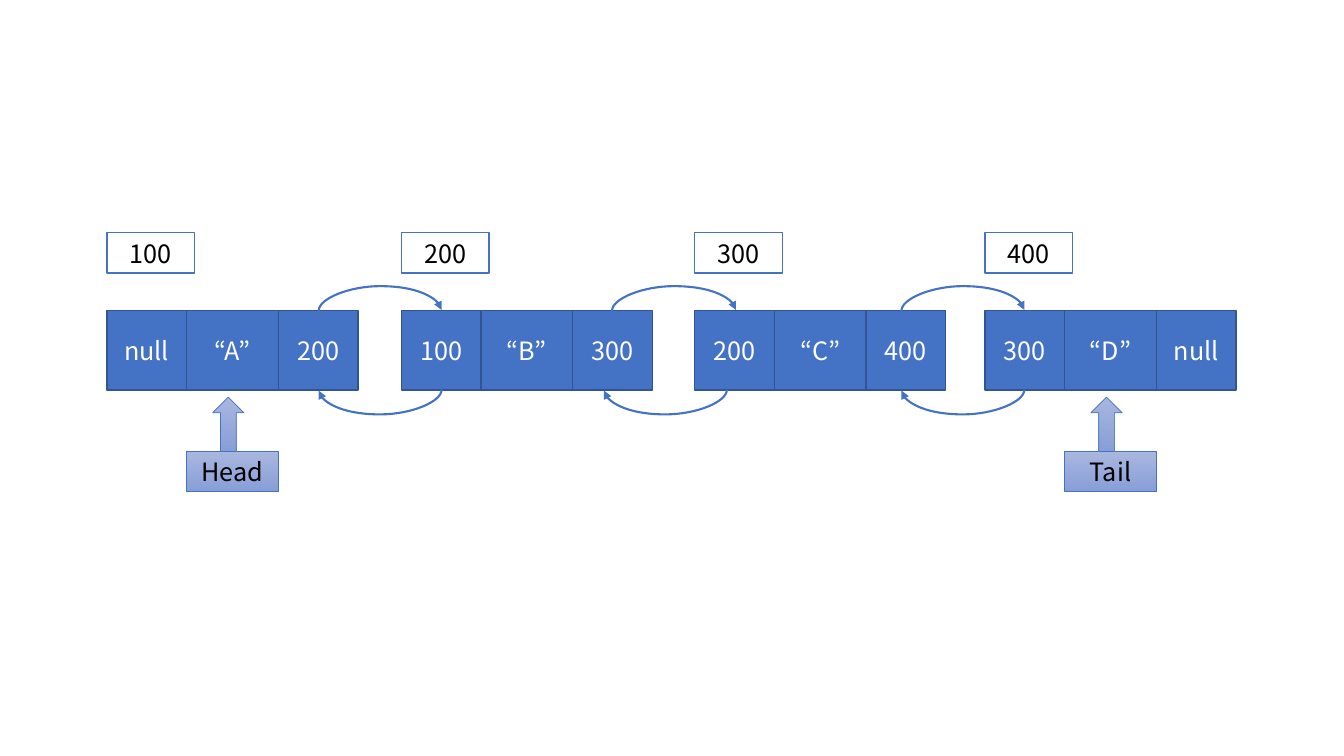
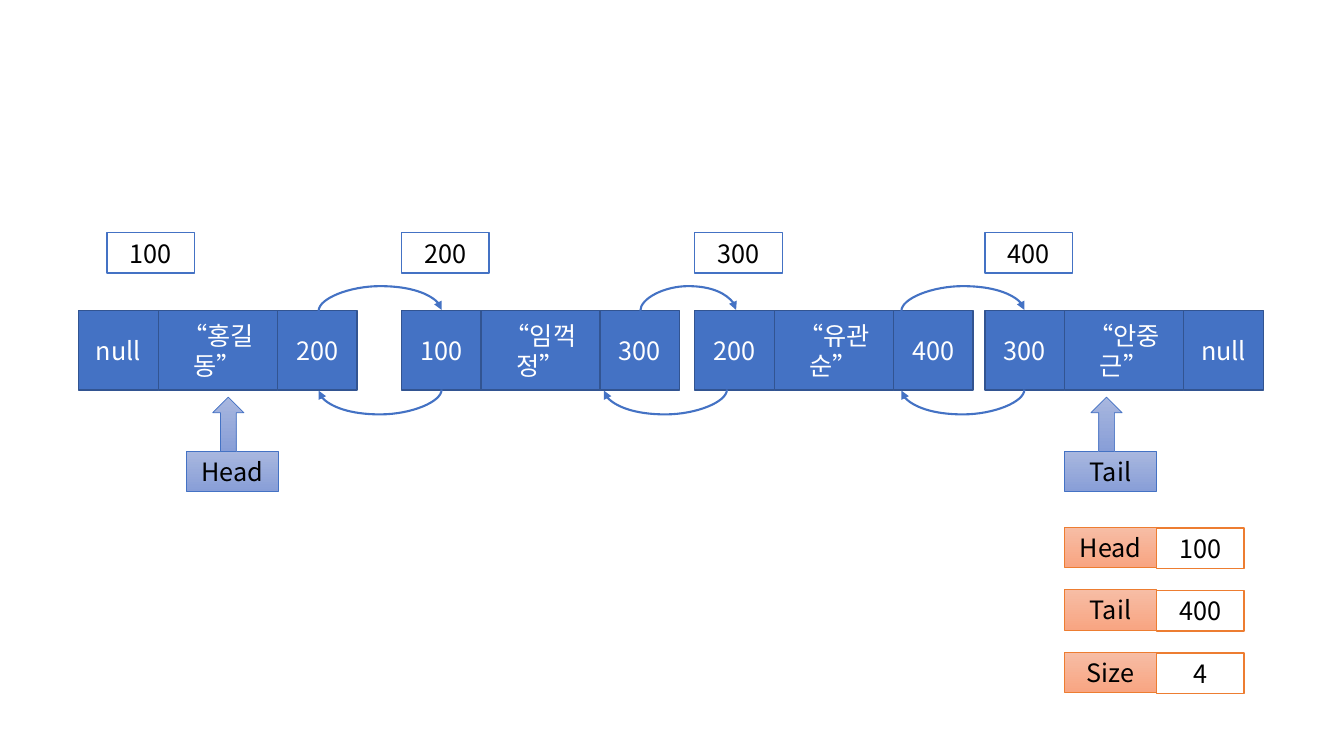
from dataclasses import dataclass

from lxml import etree
from pptx import Presentation
from pptx.dml.color import RGBColor
from pptx.enum.shapes import MSO_CONNECTOR, MSO_SHAPE
from pptx.enum.text import MSO_ANCHOR, PP_ALIGN
from pptx.oxml.ns import qn
from pptx.util import Inches, Pt

RECT, UP_ARROW = MSO_SHAPE.RECTANGLE, MSO_SHAPE.UP_ARROW
CURVE = MSO_CONNECTOR.CURVE
CENTER, MIDDLE = PP_ALIGN.CENTER, MSO_ANCHOR.MIDDLE


@dataclass(frozen=True)
class Theme:
    font: str = "Noto Sans CJK KR"
    size: int = 18
    white: str = "FFFFFF"
    black: str = "000000"
    blue: str = "4472C4"
    navy: str = "325491"
    orange: str = "ED7D31"
    blue_fade: tuple = ("A8B7DF", "889ED7")
    orange_fade: tuple = ("F7BDA5", "F8A582")
    thin: float = 0.5
    line: float = 1
    arrow: float = 1.5


T = Theme()

# Content: node = (previous, value, next)
ADDRESSES = ["100", "200", "300", "400"]
POINTERS = [("Head", 1.85), ("Tail", 10.56)]
SLIDES = [
    {
        "values": ["“A”", "“B”", "“C”", "“D”"],
        "lefts": [1.06, 3.98, 6.89, 9.77],
        "value_w": 0.91,
        "next_arrows": [(3.16, 4.38), (6.07, 7.3), (8.94, 10.16)],
        "fields": [],
    },
    {
        "values": ["“홍길동”", "“임꺽정”", "“유관순”", "“안중근”"],
        "lefts": [0.78, 3.98, 6.89, 9.77],
        "value_w": 1.18,
        "next_arrows": [(3.16, 4.38), (6.35, 7.3), (8.94, 10.16)],
        "fields": [("Head", "100"), ("Tail", "400"), ("Size", "4")],
    },
]
PREV_ARROWS = [(4.38, 3.16), (7.21, 5.99), (10.16, 8.94)]

# Layout, in inches
TAG_LEFTS = [1.06, 3.98, 6.89, 9.77]
TAG_TOP, TAG_W, TAG_H = 2.31, 0.87, 0.4
NODE_TOP, CELL = 3.08, 0.79
LABEL_TOP, LABEL_W = 4.48, 0.91
POINTER_TOP, POINTER_W, POINTER_H = 3.94, 0.31, 0.54
FIELD_LEFT, FIELD_TOP, FIELD_STEP = 10.56, 5.23, 0.62
CURVE_DROP, CURVE_BEND = 0.01, 0.25


def rgb(value):
    return RGBColor.from_string(value)


def add_block(s, x, y, w, h, fill, line, weight, text="", color=T.black, kind=RECT):
    """Add a shape; fill is one colour, or a pair for a vertical fade."""
    sp = s.shapes.add_shape(kind, Inches(x), Inches(y), Inches(w), Inches(h))
    sp.shadow.inherit = False
    if isinstance(fill, tuple):
        sp.fill.gradient()
        sp.fill.gradient_angle = 270
        for stop, shade in zip(sp.fill.gradient_stops, fill):
            stop.color.rgb = rgb(shade)
    else:
        sp.fill.solid()
        sp.fill.fore_color.rgb = rgb(fill)
    sp.line.color.rgb = rgb(line)
    sp.line.width = Pt(weight)
    if text:
        tf = sp.text_frame
        tf.text = text
        tf.word_wrap = True
        tf.vertical_anchor = MIDDLE
        p = tf.paragraphs[0]
        p.alignment = CENTER
        font = p.runs[0].font
        font.name, font.size, font.color.rgb = T.font, Pt(T.size), rgb(color)
        east_asian = etree.SubElement(font._element, qn("a:ea"))
        east_asian.set("typeface", T.font)
    return sp


def add_arc(s, start, end, y):
    """Add a curved arrow: above the nodes going right, below going left."""
    span = abs(end - start)
    x = (start + end - CURVE_DROP) / 2
    top = y - span / 2
    c = s.shapes.add_connector(CURVE, Inches(x), Inches(top),
                               Inches(x + CURVE_DROP), Inches(top + span))
    c.line.color.rgb = rgb(T.blue)
    c.line.width = Pt(T.arrow)
    spPr = c._element.spPr
    # A quarter turn lays the thin box flat; flips turn the arc upwards
    xfrm = spPr.find(qn("a:xfrm"))
    xfrm.set("rot", "5400000")
    if end > start:
        xfrm.set("flipH", "1")
        xfrm.set("flipV", "1")
    guides = spPr.find(qn("a:prstGeom")).find(qn("a:avLst"))
    bend = round(CURVE_BEND / CURVE_DROP * 100000)
    etree.SubElement(guides, qn("a:gd"), name="adj1", fmla=f"val {bend}")
    etree.SubElement(spPr.find(qn("a:ln")), qn("a:tailEnd"), type="triangle")
    etree.SubElement(spPr, qn("a:effectLst"))


def add_nodes(s, data):
    previous = ["null"] + ADDRESSES[:-1]
    following = ADDRESSES[1:] + ["null"]
    widths = (CELL, data["value_w"], CELL)
    for x, *cells in zip(data["lefts"], previous, data["values"], following):
        for text, w in zip(cells, widths):
            add_block(s, x, NODE_TOP, w, CELL, T.blue, T.navy, T.line, text, T.white)
            x += w


def build_slide(prs, data):
    s = prs.slides.add_slide(prs.slide_layouts[6])
    # Nodes and their addresses
    add_nodes(s, data)
    for x, address in zip(TAG_LEFTS, ADDRESSES):
        add_block(s, x, TAG_TOP, TAG_W, TAG_H, T.white, T.blue, T.line, address)
    # Links between nodes
    for start, end in data["next_arrows"]:
        add_arc(s, start, end, NODE_TOP)
    for start, end in PREV_ARROWS:
        add_arc(s, start, end, NODE_TOP + CELL)
    # Head and tail pointers
    for name, x in POINTERS:
        add_block(s, x, LABEL_TOP, LABEL_W, TAG_H, T.blue_fade, T.blue, T.thin, name)
        add_block(s, x + 0.26, POINTER_TOP, POINTER_W, POINTER_H,
                  T.blue_fade, T.blue, T.thin, kind=UP_ARROW)
    # Fields of the list
    for i, (name, value) in enumerate(data["fields"]):
        y = FIELD_TOP + i * FIELD_STEP
        add_block(s, FIELD_LEFT + LABEL_W, y + 0.01, TAG_W, TAG_H,
                  T.white, T.orange, T.line, value)
        add_block(s, FIELD_LEFT, y, LABEL_W, TAG_H,
                  T.orange_fade, T.orange, T.thin, name)


def main():
    prs = Presentation()
    prs.slide_width, prs.slide_height = Inches(13.33), Inches(7.5)
    for data in SLIDES:
        build_slide(prs, data)
    prs.save("out.pptx")


if __name__ == "__main__":
    main()
